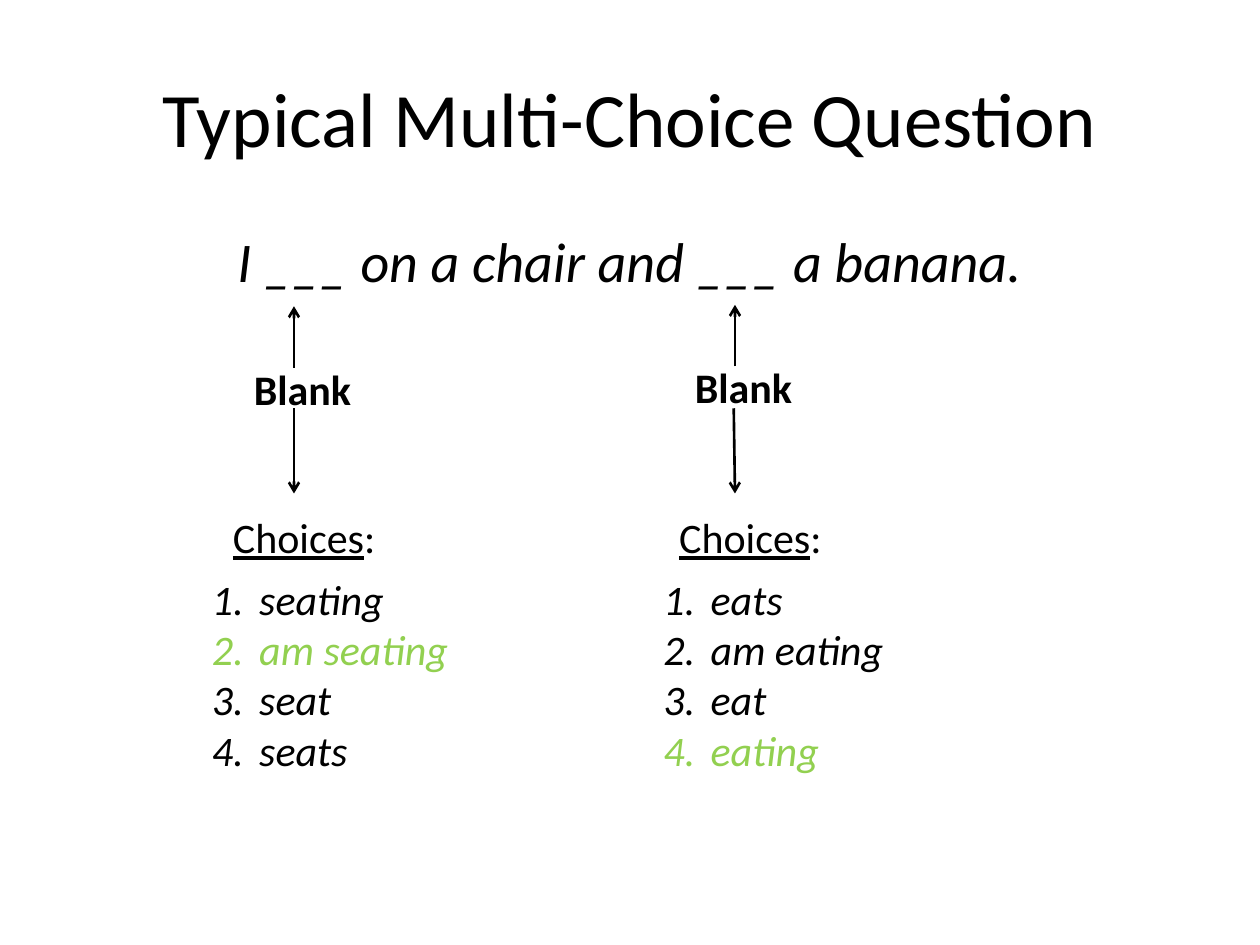
from lxml import etree
from pptx import Presentation
from pptx.dml.color import RGBColor
from pptx.enum.shapes import MSO_CONNECTOR
from pptx.enum.text import MSO_ANCHOR, PP_ALIGN
from pptx.oxml.ns import qn
from pptx.util import Pt

STRAIGHT = MSO_CONNECTOR.STRAIGHT
CENTER = PP_ALIGN.CENTER
MIDDLE = MSO_ANCHOR.MIDDLE
COLORS = {"text": "000000", "answer": "92D050"}


def add_text(paragraph, text, size=24, color="text", bold=False, italic=False, underline=False):
    run = paragraph.add_run()
    run.text = text
    font = run.font
    font.name = "Calibri"
    font.size = Pt(size)
    font.bold = bold
    font.italic = italic
    font.underline = underline
    font.color.rgb = RGBColor.from_string(COLORS[color])


def add_box(left, top, width, height):
    box = slide.shapes.add_textbox(Pt(left), Pt(top), Pt(width), Pt(height))
    box.text_frame.word_wrap = True
    return box.text_frame


presentation = Presentation()
presentation.slide_width = Pt(720)
presentation.slide_height = Pt(540)
slide = presentation.slides.add_slide(presentation.slide_layouts[1])

title = slide.shapes.title
title.left, title.top, title.width, title.height = Pt(36), Pt(21.6), Pt(648), Pt(90)
title.text_frame.vertical_anchor = MIDDLE
paragraph = title.text_frame.paragraphs[0]
paragraph.alignment = CENTER
add_text(paragraph, "Typical Multi-Choice Question", size=44)

body = slide.placeholders[1]
body.left, body.top, body.width, body.height = Pt(36), Pt(126), Pt(648), Pt(356.4)
paragraph = body.text_frame.paragraphs[0]
paragraph.alignment = CENTER
properties = paragraph._p.get_or_add_pPr()
properties.set("marL", "0")
properties.set("indent", "0")
etree.SubElement(properties, qn("a:buNone"))
add_text(paragraph, "I ___ on a chair and ___ a banana.", size=32, italic=True)

blanks = [
    {"arrow": 168, "lower_start": 168, "arrow_top": 175, "label": (138, 78),
     "heading": (126, 96), "list": 114,
     "choices": ["seating", "am seating", "seat", "seats"], "answer": "am seating"},
    {"arrow": 420, "lower_start": 419.3, "arrow_top": 174.2, "label": (390, 84),
     "heading": (381, 105), "list": 372,
     "choices": ["eats", "am eating", "eat", "eating"], "answer": "eating"},
]

for blank in blanks:
    x, top = blank["arrow"], blank["arrow_top"]
    arrows = [(x, top + 35.2, x, top), (blank["lower_start"], 233.3, x, 282)]
    for ends in arrows:
        arrow = slide.shapes.add_connector(STRAIGHT, *[Pt(value) for value in ends])
        arrow.line.width = Pt(1.5)
        arrow.line.color.rgb = RGBColor.from_string(COLORS["text"])
        etree.SubElement(arrow.line._get_or_add_ln(), qn("a:tailEnd"), type="arrow")
        etree.SubElement(arrow._element.spPr, qn("a:effectLst"))

    left, width = blank["label"]
    label = add_box(left, top + 29, width, 36)
    add_text(label.paragraphs[0], "Blank", bold=True)

    left, width = blank["heading"]
    heading = add_box(left, 289, width, 36)
    add_text(heading.paragraphs[0], "Choices", underline=True)
    add_text(heading.paragraphs[0], ":")

    choices = add_box(blank["list"], 324, 156, 124)
    for index, choice in enumerate(blank["choices"]):
        paragraph = choices.add_paragraph() if index else choices.paragraphs[0]
        properties = paragraph._p.get_or_add_pPr()
        properties.set("marL", str(Pt(27)))
        properties.set("indent", str(-Pt(27)))
        etree.SubElement(properties, qn("a:buFont"), typeface="+mj-lt")
        etree.SubElement(properties, qn("a:buAutoNum"), type="arabicPeriod")
        color = "answer" if choice == blank["answer"] else "text"
        add_text(paragraph, choice, color=color, italic=True)

presentation.save("out.pptx")
